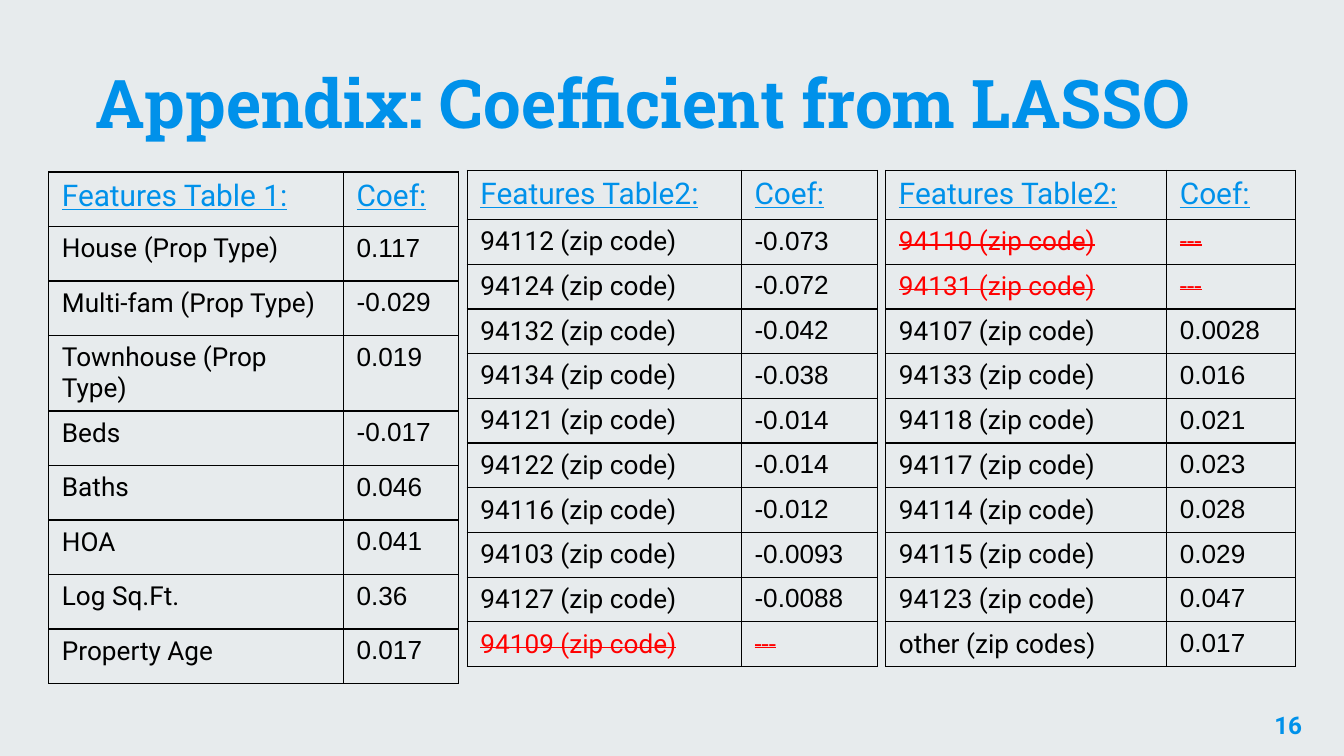
from dataclasses import dataclass

from lxml import etree
from pptx import Presentation
from pptx.dml.color import RGBColor
from pptx.enum.text import MSO_ANCHOR, MSO_AUTO_SIZE, PP_ALIGN
from pptx.oxml.ns import qn
from pptx.util import Cm, Pt

BOTTOM, TOP = MSO_ANCHOR.BOTTOM, MSO_ANCHOR.TOP
LEFT, RIGHT = PP_ALIGN.LEFT, PP_ALIGN.RIGHT
NO_AUTOFIT = MSO_AUTO_SIZE.NONE
TITLE_ONLY = 5
BORDER_SIDES = ("a:lnL", "a:lnR", "a:lnT", "a:lnB")
DROPPED = "---"


@dataclass(frozen=True)
class Theme:
    background: str = "E7EBED"
    accent: str = "0091EA"
    ink: str = "000000"
    dropped: str = "FF0000"
    title_font: str = "Roboto Slab"
    body_font: str = "Roboto"
    number_font: str = "Arial"
    title_size: int = 36
    header_size: int = 16
    body_size: int = 14
    page_size: int = 13
    border_width: float = 0.75


def set_attributes(target, values):
    for name, value in values.items():
        setattr(target, name, value)


class SlideBuilder:
    def __init__(self, slide, theme):
        self.slide = slide
        self.theme = theme

    def background(self):
        fill = self.slide.background.fill
        fill.solid()
        fill.fore_color.rgb = RGBColor.from_string(self.theme.background)

    def add_text(self, text_frame, text, color, alignment=LEFT, strike=False, **font):
        paragraph = text_frame.paragraphs[0]
        paragraph.alignment = alignment
        run = paragraph.add_run()
        run.text = text
        set_attributes(run.font, font)
        run.font.color.rgb = RGBColor.from_string(color)
        if strike:
            run.font._element.set("strike", "sngStrike")

    def frame(self, shape, box, anchor):
        for name, value in zip(("left", "top", "width", "height"), box):
            setattr(shape, name, Cm(value))
        margins = {f"margin_{side}": Cm(0.25) for side in ("left", "right", "top", "bottom")}
        set_attributes(shape.text_frame, {
            **margins, "word_wrap": True, "auto_size": NO_AUTOFIT, "vertical_anchor": anchor})
        return shape.text_frame

    def title(self, text, box):
        text_frame = self.frame(self.slide.shapes.title, box, BOTTOM)
        self.add_text(text_frame, text, self.theme.accent, name=self.theme.title_font,
                      size=Pt(self.theme.title_size), bold=True)

    def page_number(self, text, box):
        shape = self.slide.shapes.add_textbox(*map(Cm, box))
        self.add_text(self.frame(shape, box, TOP), text, self.theme.accent, RIGHT,
                      name=self.theme.body_font, size=Pt(self.theme.page_size), bold=True)

    def borders(self, cell):
        properties = cell._tc.get_or_add_tcPr()
        for position, side in enumerate(BORDER_SIDES):
            line = etree.Element(qn(side), w=str(Pt(self.theme.border_width)))
            fill = etree.SubElement(line, qn("a:solidFill"))
            etree.SubElement(fill, qn("a:srgbClr"), val=self.theme.ink)
            properties.insert(position, line)

    def cell(self, cell, text, **style):
        set_attributes(cell, {
            "margin_left": Cm(0.25), "margin_right": Cm(0.25),
            "margin_top": Cm(0.13), "margin_bottom": Cm(0.13), "vertical_anchor": TOP})
        cell.fill.background()
        self.borders(cell)
        self.add_text(cell.text_frame, text, **style)

    def coefficient_table(self, heading, rows, box, feature_width, header_height):
        """Rows whose coefficient is DROPPED are struck out in red."""
        theme = self.theme
        table = self.slide.shapes.add_table(len(rows) + 1, 2, *map(Cm, box)).table
        set_attributes(table, {"first_row": False, "horz_banding": False})
        table.columns[0].width = Cm(feature_width)
        table.columns[1].width = Cm(box[2] - feature_width)
        body_height = (box[3] - header_height) / len(rows)
        for index, row in enumerate(table.rows):
            row.height = Cm(body_height if index else header_height)

        for column, text in enumerate((heading, "Coef:")):
            self.cell(table.cell(0, column), text, color=theme.accent, underline=True,
                      name=theme.body_font, size=Pt(theme.header_size))
        for index, (feature, coefficient) in enumerate(rows, start=1):
            dropped = coefficient == DROPPED
            style = {"color": theme.dropped if dropped else theme.ink,
                     "strike": dropped, "size": Pt(theme.body_size)}
            number_font = theme.body_font if dropped else theme.number_font
            self.cell(table.cell(index, 0), feature, name=theme.body_font, **style)
            self.cell(table.cell(index, 1), coefficient, name=number_font, **style)


def zip_rows(*pairs):
    return [(f"{code} (zip code)", coefficient) for code, coefficient in pairs]


PROPERTY_ROWS = [
    ("House (Prop Type)", "0.117"), ("Multi-fam (Prop Type)", "-0.029"),
    ("Townhouse (Prop Type)", "0.019"), ("Beds", "-0.017"), ("Baths", "0.046"),
    ("HOA", "0.041"), ("Log Sq.Ft.", "0.36"), ("Property Age", "0.017"),
]
LOWER_ZIP_ROWS = zip_rows(
    (94112, "-0.073"), (94124, "-0.072"), (94132, "-0.042"), (94134, "-0.038"),
    (94121, "-0.014"), (94122, "-0.014"), (94116, "-0.012"), (94103, "-0.0093"),
    (94127, "-0.0088"), (94109, DROPPED),
)
UPPER_ZIP_ROWS = zip_rows(
    (94110, DROPPED), (94131, DROPPED), (94107, "0.0028"), (94133, "0.016"),
    (94118, "0.021"), (94117, "0.023"), (94114, "0.028"), (94115, "0.029"),
    (94123, "0.047"),
) + [("other (zip codes)", "0.017")]


def main():
    presentation = Presentation()
    presentation.slide_width, presentation.slide_height = Cm(25.4), Cm(14.29)
    slide = presentation.slides.add_slide(presentation.slide_layouts[TITLE_ONLY])
    builder = SlideBuilder(slide, Theme())
    builder.background()
    builder.page_number("16", (23.34, 13.18, 1.52, 1.09))
    builder.title("Appendix: Coefficient from LASSO", (1.55, 0.97, 22.12, 1.96))

    table_width, table_step = 7.75, 7.91
    tables = (
        ("Features Table 1:", PROPERTY_ROWS, 3.25, 9.27, 5.57, 1.03),
        ("Features Table2:", LOWER_ZIP_ROWS, 3.22, 9.33, 5.18, 0.93),
        ("Features Table2:", UPPER_ZIP_ROWS, 3.22, 9.33, 5.31, 0.93),
    )
    for index, (heading, rows, top, height, feature_width, header_height) in enumerate(tables):
        box = (0.92 + index * table_step, top, table_width, height)
        builder.coefficient_table(heading, rows, box, feature_width, header_height)
    presentation.save("out.pptx")


if __name__ == "__main__":
    main()
